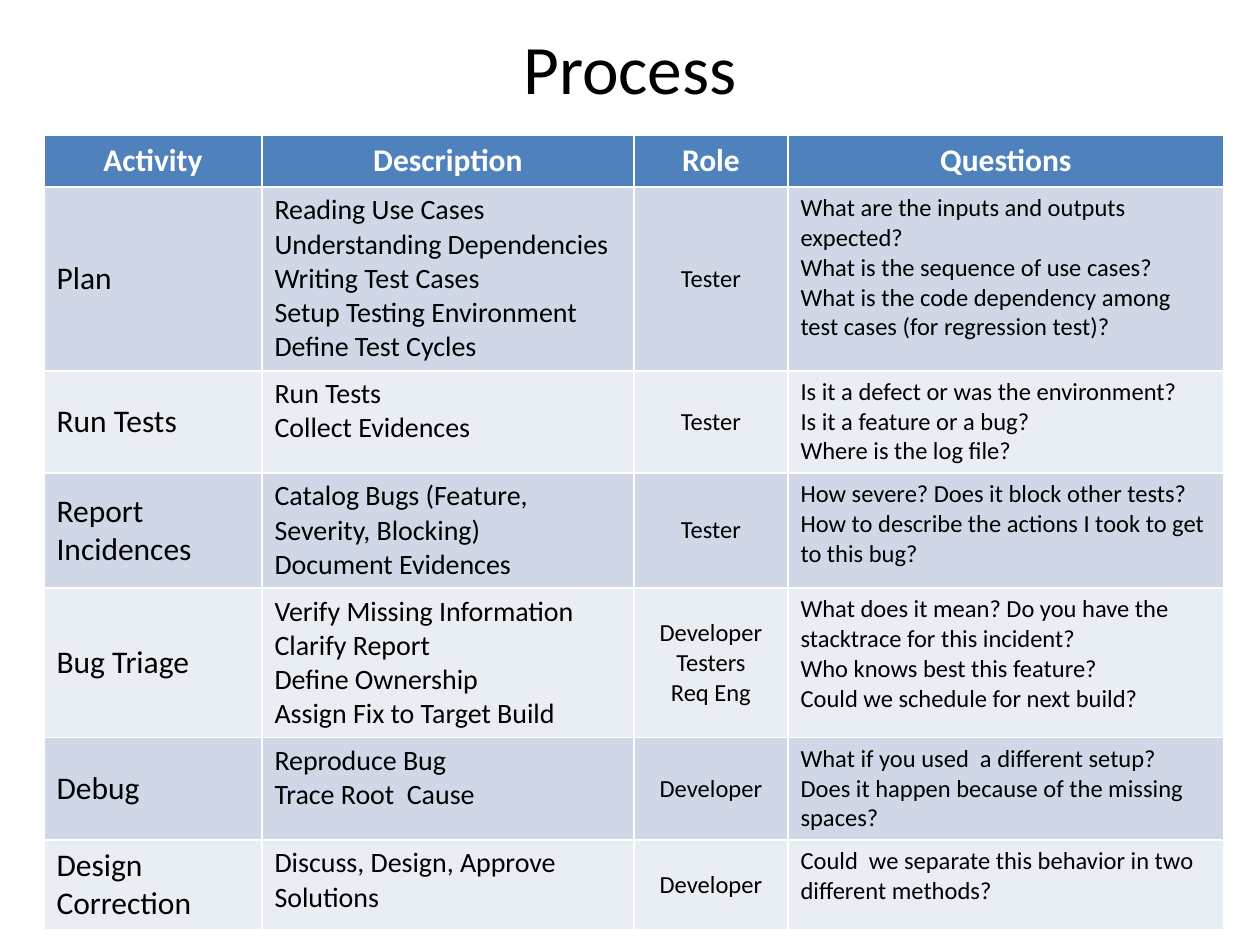
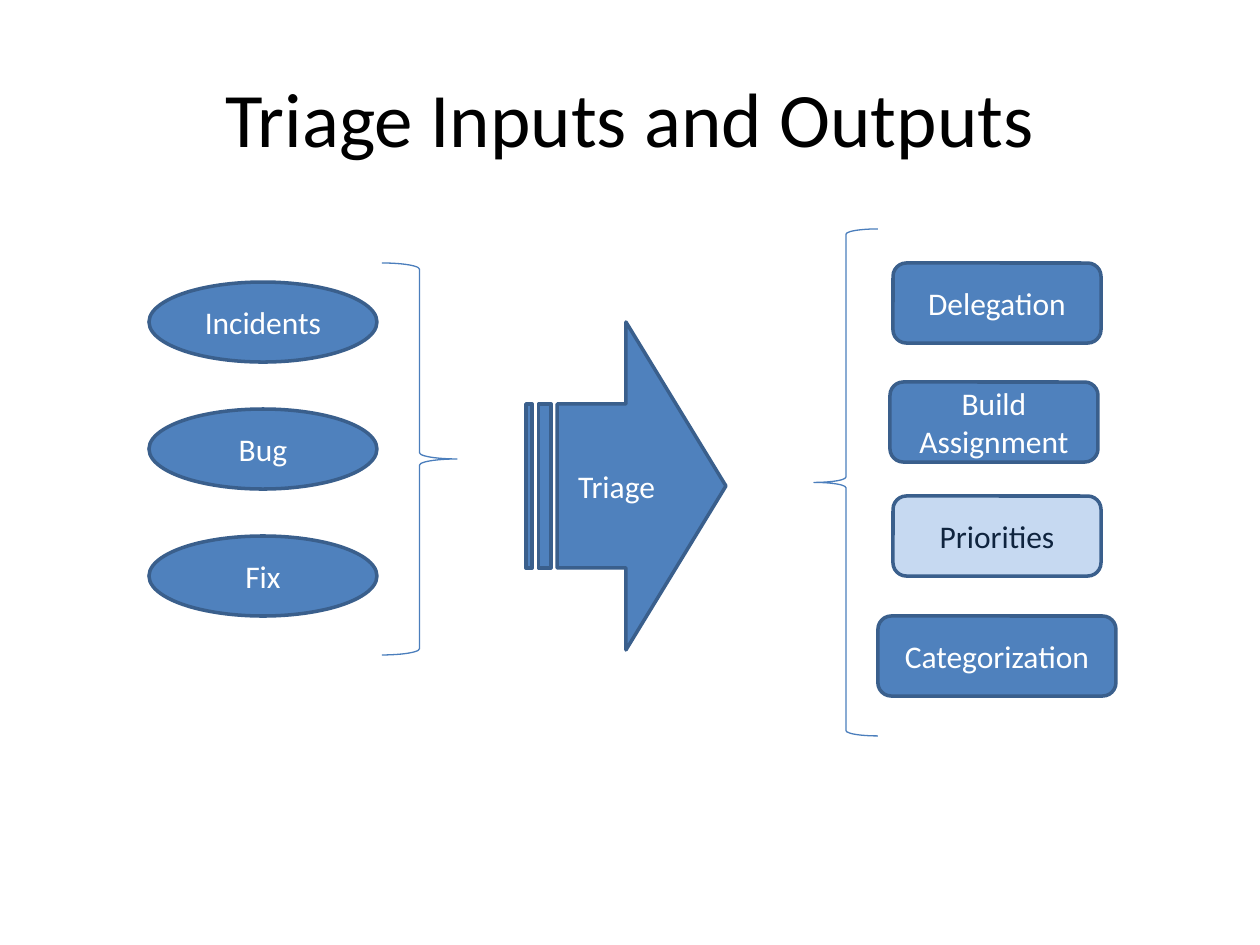
import pptx
import pptx.util
import pptx.dml.color
import pptx.enum.shapes
import pptx.enum.text
from dataclasses import dataclass

SHAPE = pptx.enum.shapes.MSO_SHAPE
ALIGN = pptx.enum.text.PP_ALIGN
ANCHOR = pptx.enum.text.MSO_ANCHOR


@dataclass(frozen=True)
class Theme:
    font: str = "Calibri"
    black: str = "000000"
    white: str = "FFFFFF"
    blue: str = "4F81BD"
    outline: str = "3A5F8C"
    brace: str = "4B7EBC"
    pale: str = "C6D9F1"
    navy: str = "0F243E"
    bands: tuple = ("D0D8E8", "E9EDF4")
    title: float = 44
    title_small: float = 39.6
    label: float = 18
    body: float = 16
    small: float = 14


T = Theme()

HEADERS = ["Activity", "Description", "Role", "Questions"]
PROCESS = [
    (["Plan"],
     ["Reading Use Cases", "Understanding Dependencies", "Writing Test Cases",
      "Setup Testing Environment", "Define Test Cycles"],
     ["Tester"],
     ["What are the inputs and outputs expected?",
      "What is the sequence of use cases?",
      "What is the code dependency among test cases (for regression test)?"]),
    (["Run Tests"],
     ["Run Tests", "Collect Evidences"],
     ["Tester"],
     ["Is it a defect or was the environment?", "Is it a feature or a bug?",
      "Where is the log file?"]),
    (["Report Incidences"],
     ["Catalog Bugs (Feature, Severity, Blocking)", "Document Evidences"],
     ["Tester"],
     ["How severe? Does it block other tests?",
      "How to describe the actions I took to get to this bug?"]),
    (["Bug Triage"],
     ["Verify Missing Information", "Clarify Report", "Define Ownership",
      "Assign Fix to Target Build"],
     ["Developer", "Testers", "Req Eng"],
     ["What does it mean? Do you have the stacktrace for this incident?",
      "Who knows best this feature?", "Could we schedule for next build?"]),
    (["Debug"],
     ["Reproduce Bug", "Trace Root  Cause"],
     ["Developer"],
     ["What if you used  a different setup?",
      "Does it happen because of the missing spaces?"]),
    (["Design Correction"],
     ["Discuss, Design, Approve Solutions"],
     ["Developer"],
     ["Could  we separate this behavior in two different methods?"]),
]
COLUMNS = [
    (218, T.label, ALIGN.LEFT, ANCHOR.MIDDLE),
    (372, T.body, ALIGN.LEFT, ANCHOR.TOP),
    (154, T.small, ALIGN.CENTER, ANCHOR.MIDDLE),
    (436, T.small, ALIGN.LEFT, ANCHOR.TOP),
]
ROW_HEIGHT = 52

INPUTS = ["Incidents", "Bug", "Fix"]
OUTPUTS = [
    ("Delegation", 893, 263, 208, T.blue, T.white),
    ("Build Assignment", 890, 382, 208, T.blue, T.white),
    ("Priorities", 893, 496, 208, T.pale, T.navy),
    ("Categorization", 878, 616, 238, T.blue, T.white),
]
BRACES = [
    (SHAPE.RIGHT_BRACE, (382, 263, 75, 392)),
    (SHAPE.LEFT_BRACE, (814, 229, 64, 507)),
]


def px(n):
    return pptx.util.Emu(round(n * 914400 / 126))


def rgb(color):
    return pptx.dml.color.RGBColor.from_string(color)


def write(tf, lines, size, color, align, bold=False):
    for i, line in enumerate(lines):
        p = tf.add_paragraph() if i else tf.paragraphs[0]
        p.text = line
        p.alignment = align
        p.font.name = T.font
        p.font.size = pptx.util.Pt(size)
        p.font.bold = bold
        p.font.color.rgb = rgb(color)


def add_slide(title, height, size):
    s = prs.slides.add_slide(prs.slide_layouts[5])
    sp = s.shapes.title
    sp.left, sp.top, sp.width, sp.height = map(px, (63, 38, 1134, height))
    tf = sp.text_frame
    tf.auto_size = pptx.enum.text.MSO_AUTO_SIZE.NONE
    tf.vertical_anchor = ANCHOR.MIDDLE
    write(tf, [title], size, T.black, ALIGN.CENTER)
    return s


def add_shape(s, kind, box, line, weight, fill=None, text=None, color=T.white):
    sp = s.shapes.add_shape(kind, *map(px, box))
    sp.shadow.inherit = False
    sp.line.color.rgb = rgb(line)
    sp.line.width = pptx.util.Pt(weight)
    if fill:
        sp.fill.solid()
        sp.fill.fore_color.rgb = rgb(fill)
    else:
        sp.fill.background()
    if text:
        sp.text_frame.vertical_anchor = ANCHOR.MIDDLE
        write(sp.text_frame, [text], T.label, color, ALIGN.CENTER)


def add_node(s, kind, box, text, fill=T.blue, color=T.white):
    add_shape(s, kind, box, T.outline, 2, fill, text, color)


def fill_cell(cell, fill, anchor, *text):
    cell.fill.solid()
    cell.fill.fore_color.rgb = rgb(fill)
    cell.vertical_anchor = anchor
    write(cell.text_frame, *text)


prs = pptx.Presentation()
prs.slide_width, prs.slide_height = px(1260), px(945)

s = add_slide("Process", 58, T.title_small)
rows = len(PROCESS) + 1
width = sum(column[0] for column in COLUMNS)
frame = s.shapes.add_table(rows, len(COLUMNS), px(44), px(135), px(width), px(ROW_HEIGHT * rows))
table = frame.table
for c, (width, size, align, anchor) in enumerate(COLUMNS):
    table.columns[c].width = px(width)
    fill_cell(table.cell(0, c), T.blue, ANCHOR.TOP,
              [HEADERS[c]], T.label, T.white, ALIGN.CENTER, True)
    for r, row in enumerate(PROCESS):
        fill_cell(table.cell(r + 1, c), T.bands[r % 2], anchor,
                  row[c], size, T.black, align)
frame.height = px(782)

s = add_slide("Triage Inputs and Outputs", 158, T.title)
for i, text in enumerate(INPUTS):
    add_node(s, SHAPE.OVAL, (149, 282 + 127 * i, 228, 80), text)
for text, left, top, width, fill, color in OUTPUTS:
    add_node(s, SHAPE.ROUNDED_RECTANGLE, (left, top, width, 80), text, fill, color)
for kind, box in BRACES:
    add_shape(s, kind, box, T.brace, 0.75)
add_node(s, SHAPE.STRIPED_RIGHT_ARROW, (526, 322, 200, 328), "Triage")

prs.save("out.pptx")
